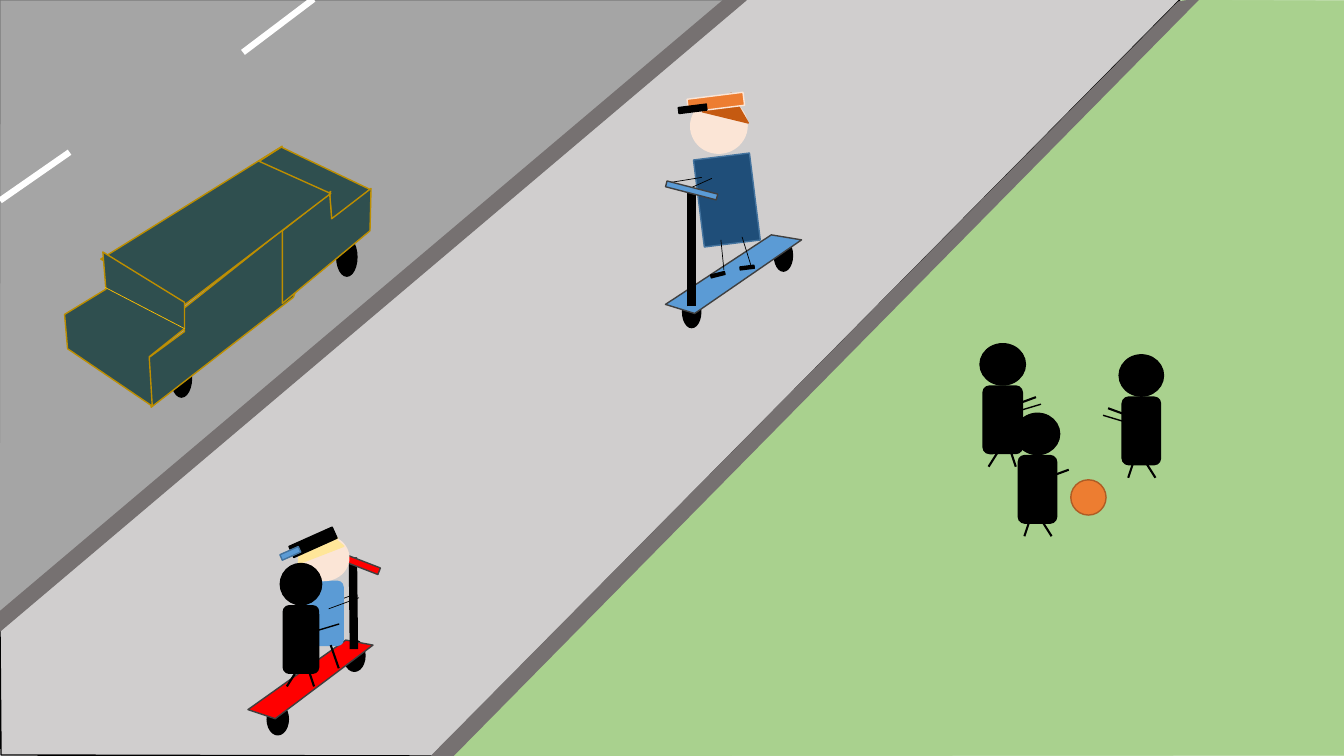
from pptx import Presentation
from pptx import util as u
from pptx.dml.color import RGBColor
from pptx.enum import shapes as s
from pptx.oxml.ns import qn
from lxml import etree

WIDE, HIGH = 13.33, 7.5
BLACK, WHITE, BLUE, RED = "000000", "FFFFFF", "5B9BD5", "FF0000"
KERB, SKIN, HAIR, EDGE = "767171", "FBE5D6", "FFE699", "404040"
ORANGE, BODY, TRIM = "ED7D31", "2F4F4F", "BD8E00"
TILT = -7.1  # lean of the tall rider

# Parts run from back to front:
# ("poly", points, fill, line)
# ("oval" / "rect" / "round" / "wedge", left, top, width, height, fill, line, turn)
# ("line", from, to, colour, points)
# ("kid", head centre, head top, head width, facing, arms)
ARMS = [((0.08, 0.69), (0.38, 0.6), 1), ((0.03, 0.64), (0.33, 0.53), 1.5)]
LEGS = [((-0.02, 1.03), (-0.14, 1.22), 1.5), ((0.08, 1.07), (0.13, 1.22), 1.5)]

GROUND = [
    ("poly", [(-0.01, 6.28), (0, 0), (7.41, 0)], "A5A5A5", "7A7A7A"),
    ("poly", [(11.73, -0.01), (13.37, 0), (13.34, 7.5), (4.31, 7.51)],
     "A9D18E", "C5E0B4"),
    ("poly", [(0, 6.25), (7.4, -0.01), (11.71, -0.01), (4.29, 7.5), (0.01, 7.49)],
     "D0CECE", BLACK),
]
BALL = [("oval", 10.62, 4.76, 0.35, 0.35, ORANGE, "AF5C24", 0)]
TALL = [
    ("oval", 6.77, 2.94, 0.18, 0.31, BLACK, BLACK, 0),
    ("oval", 7.68, 2.38, 0.18, 0.31, BLACK, BLACK, 0),
    ("poly", [(6.6, 3.02), (6.89, 3.11), (7.95, 2.38), (7.65, 2.33)], BLUE, EDGE),
    ("rect", 6.93, 1.55, 0.56, 0.87, "1F4E79", "43739E", TILT),
    ("oval", 6.85, 0.98, 0.56, 0.54, SKIN, SKIN, TILT),
    ("line", (7.36, 2.35), (7.45, 2.64), BLACK, 0.5),
    ("line", (7.06, 1.77), (6.86, 1.86), BLACK, 0.5),
    ("wedge", 7.03, 0.99, 0.34, 0.34, "C55A11", "C55A11", 147.3),
    ("rect", 6.82, 0.95, 0.56, 0.13, ORANGE, SKIN, TILT),
    ("rect", 6.73, 1.05, 0.28, 0.06, BLACK, BLACK, TILT),
    ("rect", 7.34, 2.64, 0.14, 0.03, BLACK, BLACK, TILT),
    ("line", (6.96, 1.76), (6.65, 1.81), BLACK, 0.5),
    ("line", (7.15, 2.38), (7.18, 2.68), BLACK, 0.5),
    ("rect", 7.05, 2.71, 0.14, 0.03, BLACK, BLACK, -14.1),
    ("line", (6.86, 3.04), (6.86, 1.87), BLACK, 6),
    ("rect", 6.6, 1.86, 0.52, 0.06, BLUE, EDGE, 14.5),
]
PAIR = [
    ("oval", 3.41, 6.35, 0.21, 0.31, BLACK, BLACK, 0),
    ("oval", 2.65, 6.98, 0.21, 0.31, BLACK, BLACK, 0),
    ("poly", [(2.46, 7.04), (2.73, 7.13), (3.7, 6.4), (3.43, 6.35)], RED, EDGE),
    ("line", (3.51, 6.44), (3.5, 5.53), BLACK, 6),
    ("rect", 3.21, 5.53, 0.57, 0.07, RED, EDGE, 21.2),
    ("line", (3.24, 6), (3.53, 5.89), BLACK, 0.5),
    ("round", 3.02, 5.76, 0.39, 0.65, BLUE, None, 0),
    ("oval", 2.96, 5.31, 0.5, 0.45, SKIN, SKIN, 0),
    ("poly", [(3.35, 5.34), (2.96, 5.59), (2.97, 5.49), (2.99, 5.43), (3.07, 5.34),
              (3.12, 5.32), (3.17, 5.31), (3.26, 5.31), (3.31, 5.32)], HAIR, HAIR),
    ("rect", 2.87, 5.32, 0.47, 0.12, BLACK, BLACK, -24.1),
    ("rect", 2.78, 5.46, 0.2, 0.06, BLUE, "43739E", -24),
    ("poly", [(3.41, 5.42), (2.97, 5.59), (3.34, 5.36)], HAIR, HAIR),
    ("line", (3.26, 6.04), (3.56, 5.93), BLACK, 0.5),
    ("line", (3.36, 6.63), (3.28, 6.4), BLACK, 1.5),
    ("kid", 2.985, 5.59, 0.41, 1, ARMS[:1]),
]
RIGHT = [("kid", 11.32, 3.52, 0.44, -1, ARMS)]
LEFT = [("kid", 9.945, 3.41, 0.45, 1, ARMS)]
MARKS = [
    ("line", (3.11, -0.01), (2.41, 0.52), WHITE, 4.5),
    ("line", (0.69, 1.51), (0, 1.99), WHITE, 4.5),
    ("poly", [(0, 6.26), (0, 6.07), (7.18, 0), (7.4, 0)], KERB, KERB),
    ("poly", [(4.27, 7.51), (4.48, 7.51), (11.89, -0.01), (11.69, 0.02)], KERB, KERB),
]
FRONT = [("kid", 10.29, 4.1, 0.44, -1, [((-0.31, 0.56), (-0.12, 0.63), 1.5)])]
CAR = [
    ("oval", 1.7, 3.56, 0.2, 0.38, BLACK, BLACK, 0),
    ("poly", [(3.67, 1.88), (2.79, 1.46), (2.55, 1.61), (3.27, 1.93), (3.29, 2.19)],
     BODY, TRIM),
    ("oval", 3.34, 2.36, 0.2, 0.38, BLACK, BLACK, 0),
    ("poly", [(3.28, 1.9), (1.81, 3.07), (1.83, 3.29), (1.46, 3.56), (1.5, 4.04),
              (2.91, 2.95)], BODY, TRIM),
    ("poly", [(2.8, 3.01), (3.67, 2.29), (3.68, 1.87), (3.29, 2.17), (3.27, 1.92),
              (2.8, 2.29)], BODY, TRIM),
    ("poly", [(2.8, 1.45), (1, 2.57), (1.81, 3.04), (3.28, 1.92), (2.57, 1.6)],
     BODY, TRIM),
    ("poly", [(1.51, 4.03), (0.67, 3.46), (0.64, 3.12), (1.05, 2.87), (1.02, 2.5),
              (1.83, 3), (1.83, 3.26), (1.48, 3.54)], BODY, TRIM),
    ("line", (1.04, 2.85), (1.83, 3.26), "FFC000", 0.5),
]
# (parts, whether they form one group)
SCENE = [(GROUND, False), (BALL, False), (TALL, True), (PAIR, True), (RIGHT, True),
         (LEFT, True), (MARKS, False), (FRONT, True), (CAR, True)]

FORMS = {"oval": s.MSO_SHAPE.OVAL, "rect": s.MSO_SHAPE.RECTANGLE,
         "round": s.MSO_SHAPE.ROUNDED_RECTANGLE,
         "wedge": s.MSO_SHAPE.ISOSCELES_TRIANGLE}


def color(code):
    """Turn a hex string into a colour."""
    return RGBColor.from_string(code)


def paint(shape, fill, line):
    """Set fill and outline, without shadow."""
    shape.shadow.inherit = False
    shape.fill.solid()
    shape.fill.fore_color.rgb = color(fill)
    if line:
        shape.line.color.rgb = color(line)
        shape.line.width = u.Pt(1)
    else:
        shape.line.fill.background()


def poly(tree, points, fill, line):
    """Draw a closed outline through points in inches."""
    dots = [(u.Inches(x), u.Inches(y)) for x, y in points]
    pen = tree.build_freeform(*dots[0], scale=1.0)
    pen.add_line_segments(dots[1:], close=True)
    paint(pen.convert_to_shape(), fill, line)


def form(tree, kind, left, top, width, height, fill, line, turn):
    """Draw a preset shape, turned by degrees."""
    box = [u.Inches(n) for n in (left, top, width, height)]
    shape = tree.add_shape(FORMS[kind], *box)
    if kind == "wedge":
        shape.adjustments[0] = 0.05
    shape.rotation = turn
    paint(shape, fill, line)


def stroke(tree, start, end, tint, points):
    """Draw a straight line."""
    ends = [u.Inches(n) for n in (*start, *end)]
    wire = tree.add_connector(s.MSO_CONNECTOR.STRAIGHT, *ends)
    wire.line.color.rgb = color(tint)
    wire.line.width = u.Pt(points)
    etree.SubElement(wire._element.spPr, qn("a:effectLst"))


def kid(tree, mid, top, width, side, arms):
    """Draw a black figure; side is 1 facing right, -1 facing left."""
    trunk = width - 0.06
    form(tree, "oval", mid - width / 2, top, width, 0.41, BLACK, BLACK, 0)
    form(tree, "round", mid - trunk / 2, top + 0.42, trunk, 0.67, BLACK, BLACK, 0)
    for *ends, points in arms + LEGS:
        start, end = [(mid + side * x, top + y) for x, y in ends]
        stroke(tree, start, end, BLACK, points)


def draw(tree, parts):
    """Draw each part in turn."""
    tools = {"poly": poly, "line": stroke, "kid": kid}
    for kind, *rest in parts:
        if kind in FORMS:
            form(tree, kind, *rest)
        else:
            tools[kind](tree, *rest)


deck = Presentation()
deck.slide_width, deck.slide_height = u.Inches(WIDE), u.Inches(HIGH)
slide = deck.slides.add_slide(deck.slide_layouts[6])
for parts, joined in SCENE:
    draw(slide.shapes.add_group_shape().shapes if joined else slide.shapes, parts)
deck.save("out.pptx")
